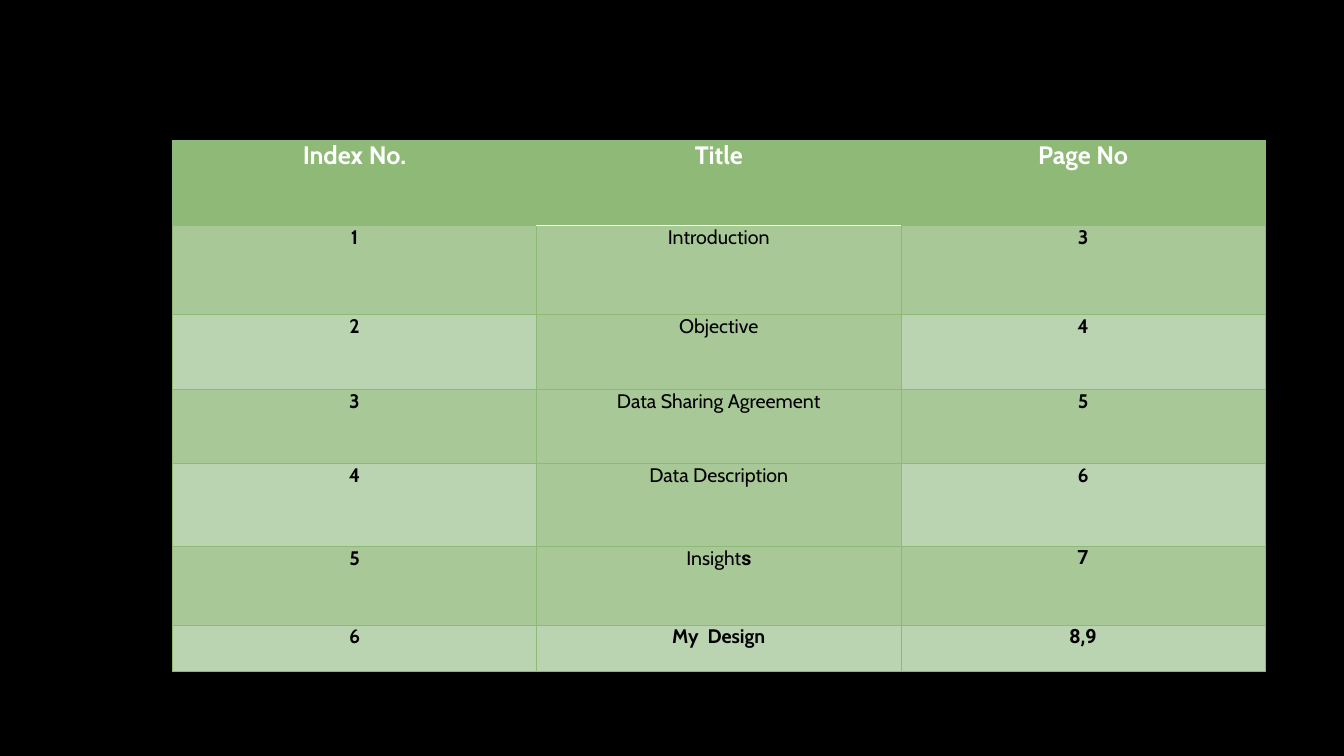
from dataclasses import dataclass

from lxml.etree import SubElement
from pptx import Presentation
from pptx.dml.color import RGBColor
from pptx.enum.text import PP_ALIGN as Align
from pptx.oxml.ns import qn
from pptx.util import Inches, Pt

# Each row: height in inches, space before the text in points, cell texts
ROWS = [
    (0.85, 2.6, ("Index No.", "Title", "Page No")),
    (0.88, 2.5, ("1", "Introduction", "3")),
    (0.74, 3.5, ("2", "Objective", "4")),
    (0.74, 3.6, ("3", "Data Sharing Agreement", "5")),
    (0.82, 3.6, ("4", "Data Description", "6")),
    (0.78, 3.6, ("5", ("Insight", "s"), "7")),
    (0.46, 3.6, ("6", "My  Design", "8,9")),
]
TITLE_COLUMN = 1
LAST_ROW = len(ROWS) - 1
ROBOTO_RUNS = ("s", "7", "8,9")
SLIDE_SIZE = (13.33, 7.5)
TABLE_LEFT, TABLE_TOP, TABLE_WIDTH = 1.71, 1.39, 10.84


@dataclass(frozen=True)
class Theme:
    background: str = "000000"
    header: str = "8FB977"
    dark_band: str = "A8C898"
    light_band: str = "BAD3B0"
    header_text: str = "FFFFFF"
    body_text: str = "000000"
    font: str = "Cabin"
    accent_font: str = "Roboto"
    header_size: float = 18
    body_size: float = 14
    border_width: float = 0.5
    divider_width: float = 1


THEME = Theme()


def add_border(cell, side, color, width):
    """Draw one side (L, R, T or B) of a cell."""
    properties = cell._tc.get_or_add_tcPr()
    line = SubElement(properties, qn(f"a:ln{side}"), w=str(Pt(width)))
    fill = SubElement(line, qn("a:solidFill"))
    SubElement(fill, qn("a:srgbClr"), val=color)


def band_color(row, column):
    if row == 0:
        return THEME.header
    title_band = column == TITLE_COLUMN and row < LAST_ROW
    return THEME.dark_band if row % 2 or title_band else THEME.light_band


def format_cell(cell, row, column):
    cell.margin_left = cell.margin_right = 0
    cell.margin_top = cell.margin_bottom = 0
    for side in "LRTB":
        under_header = (row, side) in ((0, "B"), (1, "T"))
        if under_header and column == TITLE_COLUMN:
            add_border(cell, side, THEME.header_text, THEME.divider_width)
        else:
            add_border(cell, side, THEME.header, THEME.border_width)
    cell.fill.solid()
    cell.fill.fore_color.rgb = RGBColor.from_string(band_color(row, column))


def write_cell(cell, content, row, column, space_before):
    paragraph = cell.text_frame.paragraphs[0]
    paragraph.alignment = Align.CENTER
    paragraph.space_before = Pt(space_before)
    regular = column == TITLE_COLUMN and 0 < row < LAST_ROW
    for text in (content,) if isinstance(content, str) else content:
        run = paragraph.add_run()
        run.text = text
        accent = text in ROBOTO_RUNS
        font = run.font
        font.name = THEME.accent_font if accent else THEME.font
        font.size = Pt(THEME.body_size if row else THEME.header_size)
        font.bold = accent or not regular
        color = THEME.body_text if row else THEME.header_text
        font.color.rgb = RGBColor.from_string(color)


def add_index_table(slide):
    height = sum(row_height for row_height, _, _ in ROWS)
    column_count = len(ROWS[0][2])
    frame = slide.shapes.add_table(
        len(ROWS), column_count, Inches(TABLE_LEFT), Inches(TABLE_TOP),
        Inches(TABLE_WIDTH), Inches(height))
    table = frame.table
    for row, (row_height, space_before, contents) in enumerate(ROWS):
        table.rows[row].height = Inches(row_height)
        for column, content in enumerate(contents):
            cell = table.cell(row, column)
            format_cell(cell, row, column)
            write_cell(cell, content, row, column, space_before)


def main():
    presentation = Presentation()
    presentation.slide_width, presentation.slide_height = map(Inches, SLIDE_SIZE)
    slide = presentation.slides.add_slide(presentation.slide_layouts[6])
    background = slide.background.fill
    background.solid()
    background.fore_color.rgb = RGBColor.from_string(THEME.background)
    add_index_table(slide)
    presentation.save("out.pptx")


if __name__ == "__main__":
    main()
